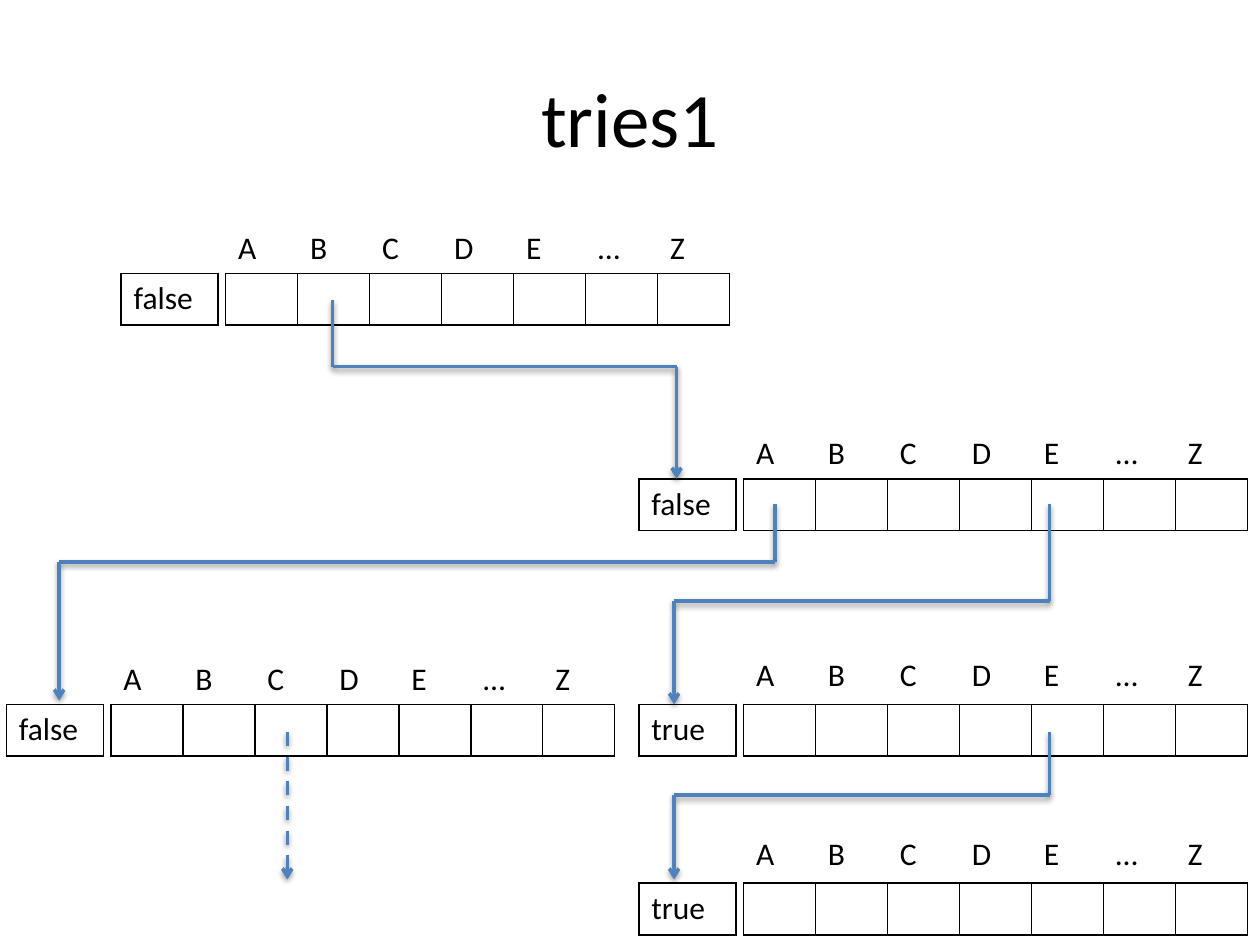
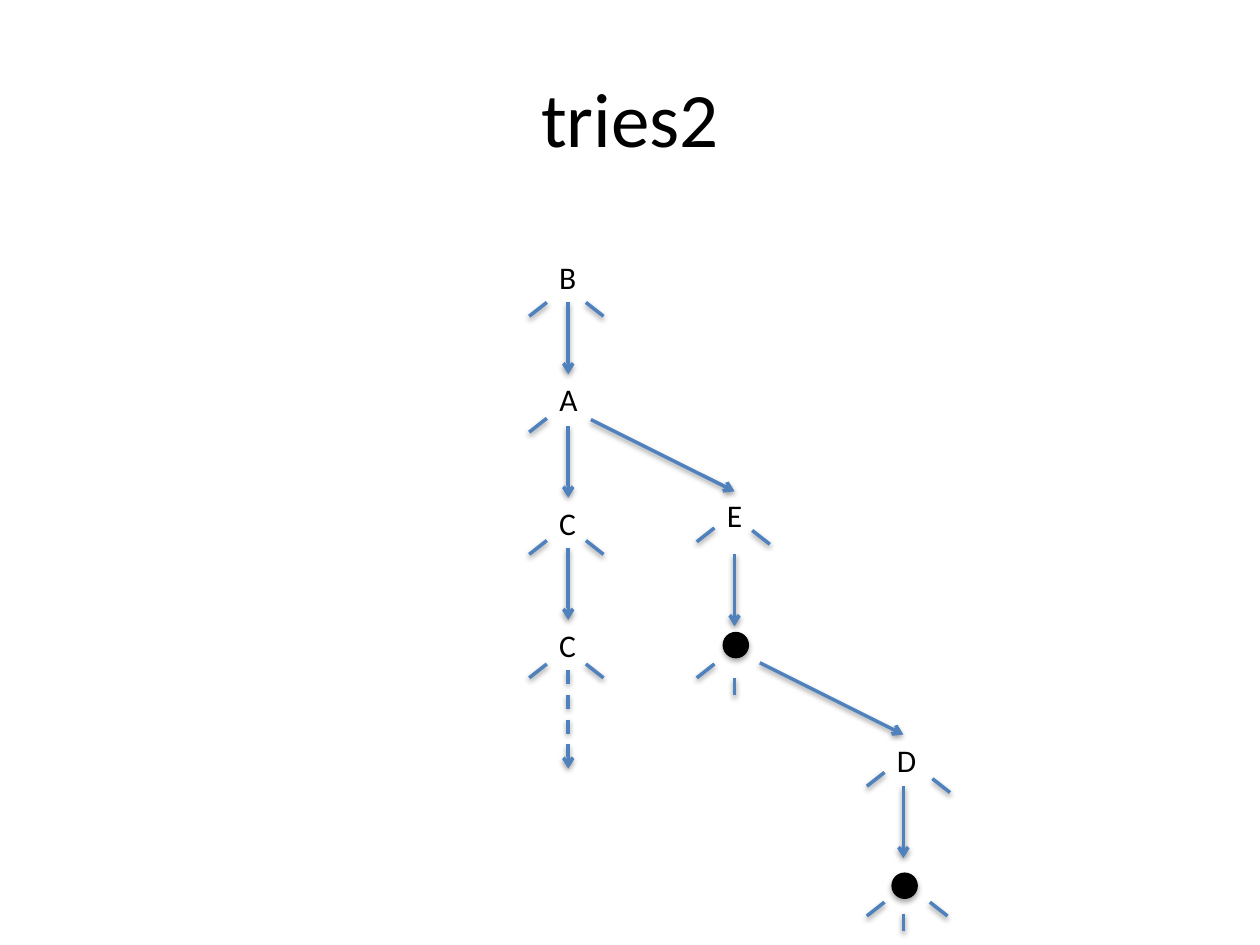
from lxml import etree
from pptx import Presentation
from pptx.dml.color import RGBColor
from pptx.enum.dml import MSO_LINE
from pptx.enum.shapes import MSO_CONNECTOR, MSO_SHAPE
from pptx.enum.text import MSO_ANCHOR, MSO_AUTO_SIZE, PP_ALIGN
from pptx.oxml import parse_xml
from pptx.oxml.ns import nsdecls, qn
from pptx.util import Inches, Pt

BLACK, BLUE = "000000", "4F81BD"
FONT = "Calibri"
LETTERS = ["A", "B", "C", "D", "E", "…", "Z"]
ROW_H = 0.41


def rgb(value):
    """Turn a hex string into a colour."""
    return RGBColor.from_string(value)


def style(p, size=18):
    """Give the runs of a paragraph the shared font."""
    for r in p.runs:
        r.font.name = FONT
        r.font.size = Pt(size)
        r.font.color.rgb = rgb(BLACK)


def add_slide(prs, title):
    """Add a slide with the shared title style."""
    slide = prs.slides.add_slide(prs.slide_layouts[5])
    sp = slide.shapes.title
    sp.left, sp.top, sp.width, sp.height = map(Inches, (0.5, 0.3, 9, 1.25))
    tf = sp.text_frame
    tf.text = title
    tf.vertical_anchor = MSO_ANCHOR.MIDDLE
    tf.paragraphs[0].alignment = PP_ALIGN.CENTER
    style(tf.paragraphs[0], 44)
    return slide


def add_line(shapes, start, end, arrow=False, dashed=False):
    """Draw a blue line; the theme gives it its soft shadow."""
    line = shapes.add_connector(MSO_CONNECTOR.STRAIGHT,
                                *map(Inches, (*start, *end)))
    line.line.color.rgb = rgb(BLUE)
    line.line.width = Pt(2)
    if dashed:
        line.line.dash_style = MSO_LINE.DASH
    if arrow:
        ln = line.line._get_or_add_ln()
        etree.SubElement(ln, qn("a:tailEnd"), type="arrow")


def add_route(shapes, *points):
    """Draw a bent line through the points, with an arrow at its end."""
    for i, (start, end) in enumerate(zip(points, points[1:]), 2):
        add_line(shapes, start, end, arrow=i == len(points))


def set_borders(cell, visible):
    """Give a cell thin black borders, or none."""
    fill = (f'<a:solidFill><a:srgbClr val="{BLACK}"/></a:solidFill>'
            if visible else "<a:noFill/>")
    tc_pr = cell._tc.get_or_add_tcPr()
    for i, side in enumerate("LRTB"):
        tc_pr.insert(i, parse_xml(
            f'<a:ln{side} {nsdecls("a")} w="{Pt(1)}">{fill}</a:ln{side}>'))


def add_row(shapes, left, top, width, texts, bordered=True):
    """Add a one-row table with equal columns."""
    table = shapes.add_table(1, len(texts), *map(
        Inches, (left, top, width, ROW_H))).table
    table.first_row = table.horz_banding = False
    for cell, text in zip(table.iter_cells(), texts):
        cell.text = text
        cell.fill.background()
        set_borders(cell, bordered)
        style(cell.text_frame.paragraphs[0])


def add_array_node(shapes, left, top, flag, label_gap=0.4):
    """Add a trie node: end-of-word flag, letter labels and pointer cells."""
    cells = left + 0.83
    add_row(shapes, left, top, 0.77, [flag])
    add_row(shapes, cells, top, 4, [""] * len(LETTERS))
    add_row(shapes, cells, top - label_gap, 4, LETTERS, bordered=False)


def build_array_trie(prs):
    """Build the slide of the trie made of arrays."""
    shapes = add_slide(prs, "tries1").shapes
    add_array_node(shapes, 0.96, 2.17, "false")
    add_array_node(shapes, 5.07, 3.8, "false")
    add_array_node(shapes, 0.05, 5.59, "false")
    add_array_node(shapes, 5.07, 5.59, "true", 0.43)
    add_array_node(shapes, 5.07, 7.01, "true", 0.43)
    add_route(shapes, (2.64, 2.38), (2.64, 2.91), (5.37, 2.91), (5.37, 3.8))
    add_route(shapes, (8.33, 4), (8.33, 4.77), (5.35, 4.77), (5.35, 5.59))
    add_route(shapes, (8.33, 5.81), (8.33, 6.31), (5.35, 6.31), (5.35, 6.98))
    add_route(shapes, (6.15, 4), (6.15, 4.46), (0.47, 4.46), (0.47, 5.56))
    add_line(shapes, (2.28, 5.81), (2.28, 6.98), arrow=True, dashed=True)


def add_letter(shapes, left, top, width, text):
    """Add the letter of a tree node."""
    sp = shapes.add_textbox(*map(Inches, (left, top, width, 0.4)))
    tf = sp.text_frame
    tf.text = text
    tf.word_wrap = False
    tf.auto_size = MSO_AUTO_SIZE.SHAPE_TO_FIT_TEXT
    style(tf.paragraphs[0])


def add_dot(shapes, left, top):
    """Add the black dot that ends a word; it keeps the theme shadow."""
    sp = shapes.add_shape(MSO_SHAPE.OVAL, *map(Inches, (left, top, 0.2, 0.2)))
    sp.fill.solid()
    sp.fill.fore_color.rgb = rgb(BLACK)
    sp.line.color.rgb = rgb(BLACK)
    sp.line.width = Pt(0.75)


def add_tree(shapes, left, top):
    """Draw the ternary tree with its top left corner at the given point."""
    def at(x, y):
        return left + x, top + y

    for x, y, width, text in [
            (0.14, 0, 0.34, "B"), (0.14, 0.97, 0.35, "A"),
            (0.14, 1.95, 0.34, "C"), (0.14, 2.92, 0.34, "C"),
            (1.47, 1.89, 0.33, "E"), (2.82, 3.83, 0.36, "D")]:
        add_letter(shapes, *at(x, y), width, text)
    for x, y in [(1.54, 3.02), (2.88, 4.93)]:
        add_dot(shapes, *at(x, y))

    # Links to the middle child, then to the right child
    for x, y in [(0.31, 0.4), (0.31, 1.38), (0.31, 2.35),
                 (1.63, 2.4), (2.97, 4.24)]:
        add_line(shapes, at(x, y), at(x, y + 0.57), arrow=True)
    for x, y in [(0.49, 1.33), (1.83, 3.26)]:
        add_line(shapes, at(x, y), at(x + 1.14, y + 0.57), arrow=True)
    add_line(shapes, at(0.31, 3.32), at(0.31, 4.1), arrow=True, dashed=True)

    # Short ticks for empty links: left, right and middle
    left_ticks = [(0.14, 0.4), (0.14, 1.32), (0.14, 2.29), (0.14, 3.27),
                  (1.47, 2.19), (1.47, 3.27), (2.82, 4.13), (2.82, 5.16)]
    right_ticks = [(0.45, 0.4), (0.45, 2.29), (0.45, 3.27),
                   (1.77, 2.21), (3.2, 4.18), (3.18, 5.16)]
    middle_ticks = [(1.63, 3.38), (2.97, 5.25)]
    for ticks, dx, dy in [(left_ticks, -0.14, 0.11),
                          (right_ticks, 0.14, 0.11),
                          (middle_ticks, 0, 0.14)]:
        for x, y in ticks:
            add_line(shapes, at(x, y), at(x + dx, y + dy))


def build_ternary_trie(prs):
    """Build the slide of the trie made of a ternary tree."""
    slide = add_slide(prs, "tries2")
    add_tree(slide.shapes.add_group_shape().shapes, 4.2, 2)


prs = Presentation()
prs.slide_width, prs.slide_height = Inches(10), Inches(7.5)
build_array_trie(prs)
build_ternary_trie(prs)
prs.save("out.pptx")
